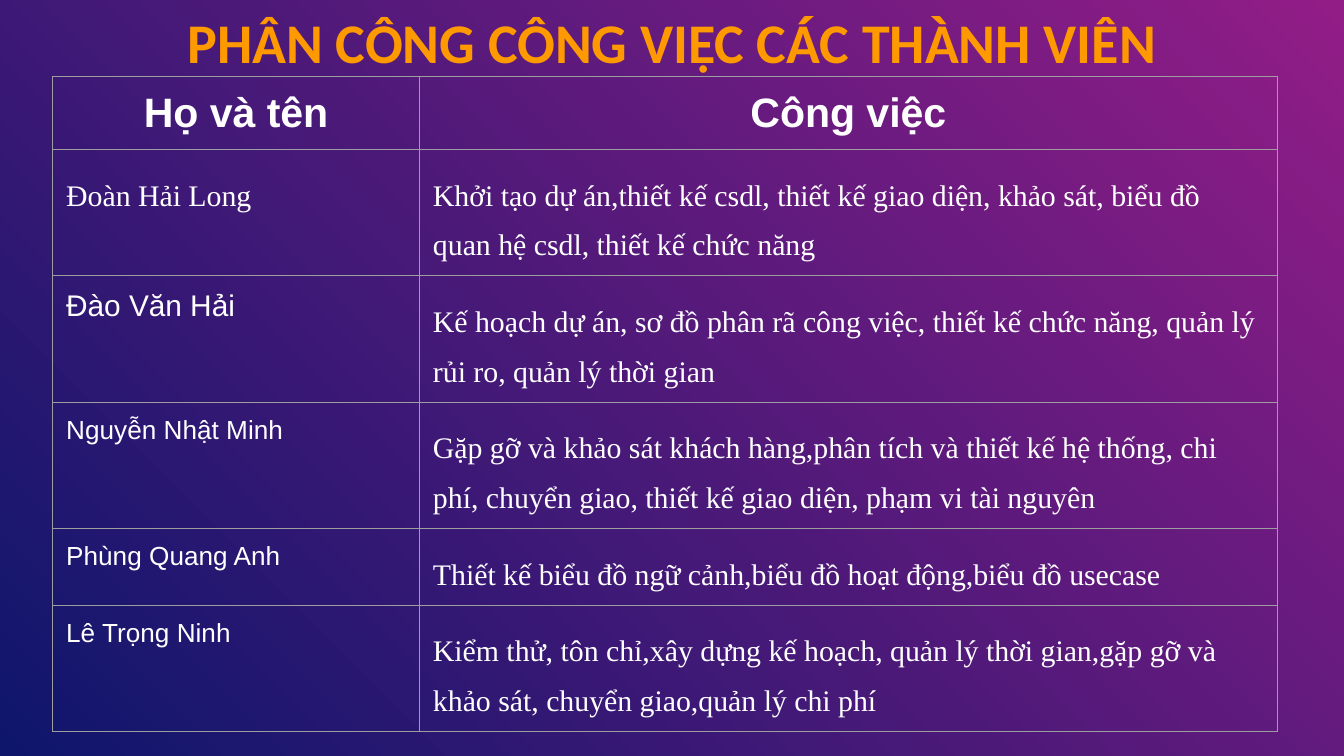
from lxml.etree import SubElement
from pptx import Presentation
from pptx.dml.color import RGBColor
from pptx.enum.text import MSO_ANCHOR as Anchor, MSO_AUTO_SIZE as AutoSize, PP_ALIGN as Align
from pptx.oxml.ns import qn
from pptx.util import Pt

SANS, SERIF = "Arial", "Times New Roman"
HEADERS = ["Họ và tên", "Công việc"]
MEMBERS = [
    ("Đoàn Hải Long", SERIF, 16, 1.5, 65,
     "Khởi tạo dự án,thiết kế csdl, thiết kế giao diện, khảo sát, biểu đồ quan hệ csdl, thiết kế chức năng"),
    ("Đào Văn Hải", SANS, 16, 1, 65,
     "Kế hoạch dự án, sơ đồ phân rã công việc, thiết kế chức năng, quản lý rủi ro, quản lý thời gian"),
    ("Nguyễn Nhật Minh", SANS, 14, 1, 65,
     "Gặp gỡ và khảo sát khách hàng,phân tích và thiết kế hệ thống, chi phí, chuyển giao, "
     "thiết kế giao diện, phạm vi tài nguyên"),
    ("Phùng Quang Anh", SANS, 14, 1, 41,
     "Thiết kế biểu đồ ngữ cảnh,biểu đồ hoạt động,biểu đồ usecase"),
    ("Lê Trọng Ninh", SANS, 14, 1, 65,
     "Kiểm thử, tôn chỉ,xây dựng kế hoạch, quản lý thời gian,gặp gỡ và khảo sát, chuyển giao,quản lý chi phí"),
]


def color(value):
    return RGBColor.from_string(value)


class SlideBuilder:
    text_color = "FFFFFF"
    title_color = "FF9900"
    border_color = "9E9E9E"
    border_width = 0.75
    cell_margin = 7.2

    def __init__(self, slide):
        self.slide = slide

    def background(self, colors, angle):
        fill = self.slide.background.fill
        fill.gradient()
        fill.gradient_angle = angle
        for stop, value in zip(fill.gradient_stops, colors):
            stop.color.rgb = color(value)

    def set_text(self, frame, text, font, size, value, bold=False, align=Align.LEFT, spacing=1.0):
        frame.text = text
        paragraph = frame.paragraphs[0]
        paragraph.alignment = align
        paragraph.line_spacing = float(spacing)
        paragraph.font.name = font
        paragraph.font.size = Pt(size)
        paragraph.font.bold = bold
        paragraph.font.color.rgb = color(value)

    def title(self, text, left, top, width, height):
        shape = self.slide.shapes.title
        shape.left, shape.top, shape.width, shape.height = map(Pt, (left, top, width, height))
        frame = shape.text_frame
        frame.word_wrap = True
        frame.auto_size = AutoSize.NONE
        frame.vertical_anchor = Anchor.MIDDLE
        self.set_text(frame, text, "Calibri", 30, self.title_color, True, Align.CENTER, 0.85)

    def table(self, left, top, columns, rows):
        shape = self.slide.shapes.add_table(
            len(rows), len(columns), Pt(left), Pt(top), Pt(sum(columns)), Pt(sum(rows)))
        table = shape.table
        table.first_row = table.horz_banding = False
        for column, width in zip(table.columns, columns):
            column.width = Pt(width)
        for row, height in zip(table.rows, rows):
            row.height = Pt(height)
        return table

    def cell(self, cell, text, font, size, **style):
        cell.margin_left = cell.margin_right = Pt(self.cell_margin)
        cell.margin_top = cell.margin_bottom = Pt(self.cell_margin)
        self.borders(cell)
        cell.fill.background()
        self.set_text(cell.text_frame, text, font, size, self.text_color, **style)

    def borders(self, cell):
        properties = cell._tc.get_or_add_tcPr()
        for side in ("a:lnL", "a:lnR", "a:lnT", "a:lnB"):
            line = SubElement(properties, qn(side), w=str(Pt(self.border_width)))
            fill = SubElement(line, qn("a:solidFill"))
            SubElement(fill, qn("a:srgbClr"), val=self.border_color)


def main():
    presentation = Presentation()
    presentation.slide_width, presentation.slide_height = Pt(720), Pt(405)
    builder = SlideBuilder(presentation.slides.add_slide(presentation.slide_layouts[5]))
    builder.background(["921D87", "0E166C"], 225)
    builder.title("PHÂN CÔNG CÔNG VIỆC CÁC THÀNH VIÊN", 36, 7, 648, 36)

    heights = [38] + [member[4] for member in MEMBERS]
    table = builder.table(28.25, 41, [196.5, 459.5], heights)
    for column, header in enumerate(HEADERS):
        builder.cell(table.cell(0, column), header, SANS, 22, bold=True, align=Align.CENTER)
    for row, (name, font, size, spacing, _, duties) in enumerate(MEMBERS, 1):
        builder.cell(table.cell(row, 0), name, font, size, spacing=spacing)
        builder.cell(table.cell(row, 1), duties, SERIF, 16, spacing=1.5)

    presentation.save("out.pptx")


if __name__ == "__main__":
    main()
